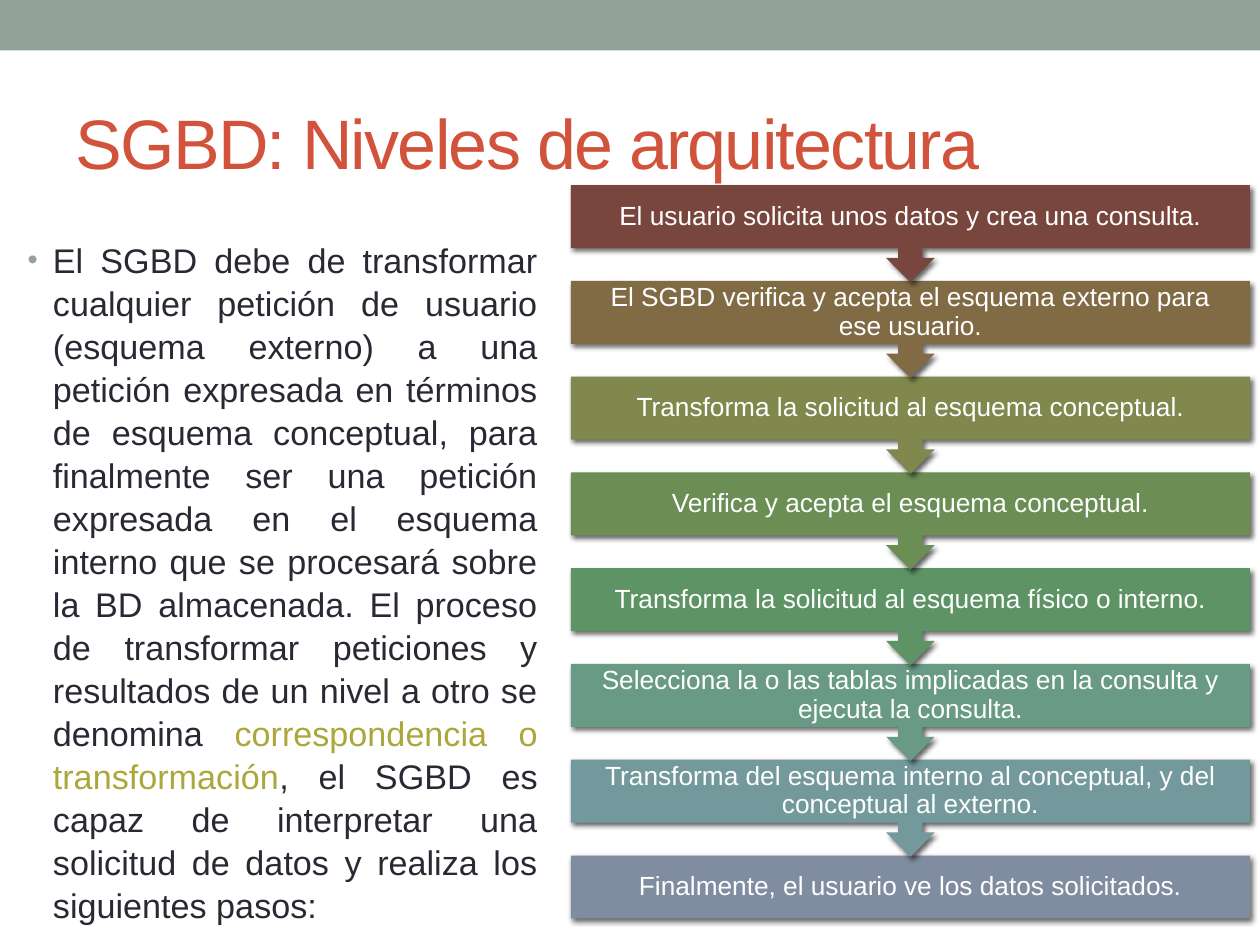
from lxml import etree
from pptx import Presentation
from pptx.dml.color import RGBColor
from pptx.enum.shapes import MSO_SHAPE
from pptx.enum.text import MSO_ANCHOR, MSO_AUTO_SIZE, PP_ALIGN
from pptx.oxml.ns import qn
from pptx.util import Inches, Pt

RECT, CALLOUT = MSO_SHAPE.RECTANGLE, MSO_SHAPE.DOWN_ARROW_CALLOUT
MIDDLE, TOP = MSO_ANCHOR.MIDDLE, MSO_ANCHOR.TOP
NO_AUTOFIT = MSO_AUTO_SIZE.NONE
LEFT, CENTER, JUSTIFY = PP_ALIGN.LEFT, PP_ALIGN.CENTER, PP_ALIGN.JUSTIFY

SAGE, RED, DARK, OLIVE, WHITE = "93A299", "D2533C", "292934", "ACA73B", "FFFFFF"

TITLE = "SGBD: Niveles de arquitectura"
BODY = [
    ("El SGBD debe de transformar cualquier petición de usuario (esquema externo) "
     "a una petición expresada en términos de esquema conceptual, para finalmente "
     "ser una petición expresada en el esquema interno que se procesará sobre la BD "
     "almacenada. El proceso de transformar peticiones y resultados de un nivel a "
     "otro se denomina ", DARK),
    ("correspondencia o transformación", OLIVE),
    (", el SGBD es capaz de interpretar una solicitud de datos y realiza los "
     "siguientes pasos:", DARK),
]
STEPS = [
    ("El usuario solicita unos datos y crea una consulta.", "79463D"),
    ("El SGBD verifica y acepta el esquema externo para ese usuario.", "806B45"),
    ("Transforma la solicitud al esquema conceptual.", "80884D"),
    ("Verifica y acepta el esquema conceptual.", "6B8E55"),
    ("Transforma la solicitud al esquema físico o interno.", "5E9465"),
    ("Selecciona la o las tablas implicadas en la consulta y ejecuta la consulta.",
     "689A86"),
    ("Transforma del esquema interno al conceptual, y del conceptual al externo.",
     "74999D"),
    ("Finalmente, el usuario ve los datos solicitados.", "808DA0"),
]


def rgb(color):
    return RGBColor.from_string(color)


def place(sp, box):
    sp.left, sp.top, sp.width, sp.height = (Inches(v) for v in box)


def style_run(r, size, color):
    r.font.name = "Arial"
    r.font.size = Pt(size)
    r.font.color.rgb = rgb(color)


def add_filled(slide, kind, box, color):
    sp = slide.shapes.add_shape(kind, *(Inches(v) for v in box))
    sp.shadow.inherit = False
    sp.fill.solid()
    sp.fill.fore_color.rgb = rgb(color)
    sp.line.fill.background()
    return sp


def add_shadow(sp):
    """Soft black shadow towards the lower right."""
    effects = sp._element.spPr.find(qn("a:effectLst"))
    shadow = etree.SubElement(effects, qn("a:outerShdw"), blurRad=str(Pt(3)),
                              dist=str(Pt(2)), dir="2700000", rotWithShape="0")
    color = etree.SubElement(shadow, qn("a:srgbClr"), val="000000")
    etree.SubElement(color, qn("a:alpha"), val="60000")


def set_bullet(p, char, color, percent, indent):
    pPr = p._p.get_or_add_pPr()
    pPr.set("marL", str(Inches(indent)))
    pPr.set("indent", str(Inches(-indent)))
    bullet_color = etree.SubElement(pPr, qn("a:buClr"))
    etree.SubElement(bullet_color, qn("a:srgbClr"), val=color)
    etree.SubElement(pPr, qn("a:buSzPct"), val=str(percent * 1000))
    etree.SubElement(pPr, qn("a:buFont"), typeface="Arial")
    etree.SubElement(pPr, qn("a:buChar"), char=char)


def fill_title(sp, box):
    place(sp, box)
    tf = sp.text_frame
    tf.text = TITLE
    tf.auto_size = NO_AUTOFIT
    tf.vertical_anchor = MIDDLE
    p = tf.paragraphs[0]
    p.alignment = LEFT
    r = p.runs[0]
    style_run(r, 40, RED)
    r.font._element.set("spc", "-100")


def fill_body(sp, box):
    place(sp, box)
    tf = sp.text_frame
    tf.auto_size = NO_AUTOFIT
    tf.vertical_anchor = TOP
    p = tf.paragraphs[0]
    p.alignment = JUSTIFY
    p.line_spacing = 1.05
    p.space_before = Pt(0)
    set_bullet(p, "•", SAGE, 85, 0.2)
    for text, color in BODY:
        r = p.add_run()
        r.text = text
        style_run(r, 19.5, color)


def add_steps(slide, box):
    """Stack of steps; each callout's arrow touches the step below it."""
    left, top, width, height = box
    bar = 0.5
    pitch = (height - bar) / (len(STEPS) - 1)
    # Bottom step first, so that every arrow lies over the next bar
    for i, (text, color) in reversed(list(enumerate(STEPS))):
        last = i == len(STEPS) - 1
        kind, step_height = (RECT, bar) if last else (CALLOUT, pitch + 0.01)
        sp = add_filled(slide, kind, (left, top + i * pitch, width, step_height), color)
        add_shadow(sp)
        if not last:
            sp.adjustments[3] = bar / step_height
        tf = sp.text_frame
        tf.word_wrap = True
        tf.vertical_anchor = MIDDLE
        tf.margin_left = tf.margin_right = Inches(0.12)
        tf.margin_top = tf.margin_bottom = 0
        tf.text = text
        p = tf.paragraphs[0]
        p.alignment = CENTER
        p.line_spacing = 0.9
        style_run(p.runs[0], 15, WHITE)


def main():
    prs = Presentation()
    prs.slide_width, prs.slide_height = Inches(10), Inches(7.5)
    slide = prs.slides.add_slide(prs.slide_layouts[1])
    add_filled(slide, RECT, (0, 0, 10, 0.4), SAGE)
    fill_title(slide.shapes.title, (0.5, 0.58, 9, 1.08))
    fill_body(slide.placeholders[1], (0.12, 1.83, 4.25, 5.16))
    add_steps(slide, (4.53, 1.47, 5.39, 5.82))
    prs.save("out.pptx")


if __name__ == "__main__":
    main()
